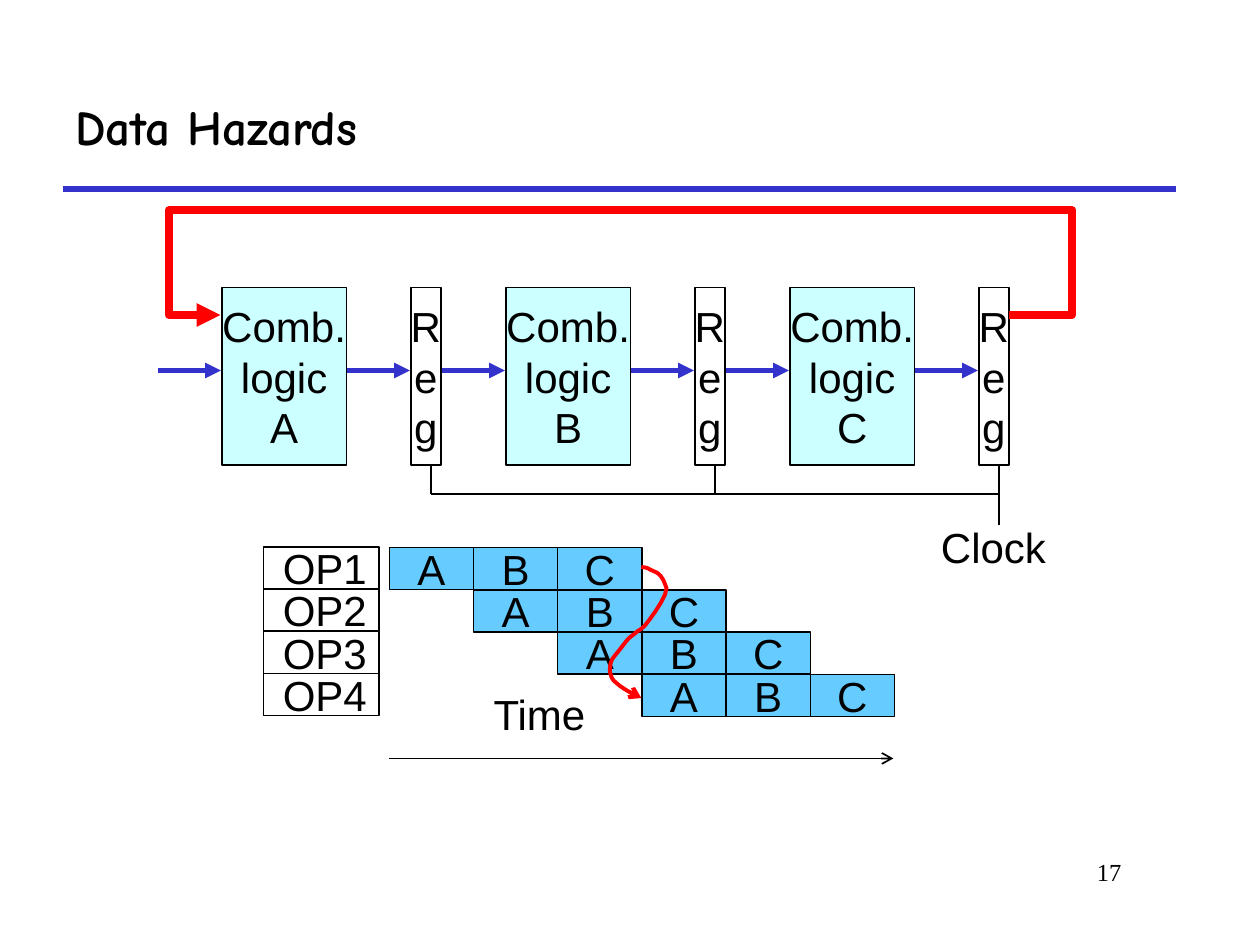
from pptx import Presentation
from pptx import util as u
from pptx.dml.color import RGBColor
from pptx.enum import shapes, text
from pptx.oxml.ns import qn
from lxml import etree

Pt = u.Pt
hue = RGBColor.from_string
mid, top = text.MSO_ANCHOR.MIDDLE, text.MSO_ANCHOR.TOP
left, ctr, right = text.PP_ALIGN.LEFT, text.PP_ALIGN.CENTER, text.PP_ALIGN.RIGHT

deck = Presentation()
deck.slide_width, deck.slide_height = Pt(720), Pt(540)
art = deck.slides.add_slide(deck.slide_layouts[6]).shapes


def box(x, y, w, h, words, fill=None, edge="000000", thick=1, align=ctr,
        anchor=mid, face="Arial", size=24, bold=False):
    area = [Pt(v) for v in (x, y, w, h)]
    if fill:
        item = art.add_shape(shapes.MSO_SHAPE.RECTANGLE, *area)
        item.shadow.inherit = False
        item.fill.solid()
        item.fill.fore_color.rgb = hue(fill)
        item.line.color.rgb = hue(edge)
        item.line.width = Pt(thick)
    else:
        item = art.add_textbox(*area)
    frame = item.text_frame
    frame.text = words
    frame.word_wrap = False
    frame.vertical_anchor = anchor
    for para in frame.paragraphs:
        para.alignment = align
        for run in para.runs:
            run.font.name, run.font.size, run.font.bold = face, Pt(size), bold
            run.font.color.rgb = hue("000000")
    return item


def line(pts, color, thick, head=None):
    pts = [(Pt(x), Pt(y)) for x, y in pts]
    if len(pts) == 2:
        item = art.add_connector(shapes.MSO_CONNECTOR.STRAIGHT, *pts[0], *pts[1])
    else:
        pen = art.build_freeform(*pts[0], scale=1.0)
        pen.add_line_segments(pts[1:], close=False)
        item = pen.convert_to_shape()
        item.fill.background()
    item.line.color.rgb = hue(color)
    item.line.width = Pt(thick)
    if head:
        etree.SubElement(item.line._get_or_add_ln(), qn("a:tailEnd"), type=head)
    etree.SubElement(item._element.spPr, qn("a:effectLst"))
    return item


line([(36, 108), (672, 108)], "3333CC", 3)
box(546, 486, 102, 36, "17", align=right, anchor=top, face="Times New Roman", size=14)
title = box(36, 36, 636, 72, "Data Hazards", align=left, face="Comic Neue", size=28, bold=True)
title.text_frame.word_wrap = True

rail = 282.2
for i, name in enumerate("ABC"):
    x = 126.7 + 162.3 * i
    reg = x + 108
    tap = reg + 11.5
    box(x, 164.2, 71.3, 101.5, f"Comb.\nlogic\n{name}", "CCFFFF")
    box(reg, 164.2, 17.3, 101.5, "R\ne\ng", "FFFFFF")
    for end in (x, reg):
        line([(end - 36.5, 211.7), (end - 0.5, 211.7)], "3333CC", 3, "triangle")
    line([(tap, 265.7), (tap, 300.2 if name == "C" else rail)], "000000", 1)
line([(246.2, rail), (tap, rail)], "000000", 1)
box(530.6, 294.5, 74.2, 36, "Clock", anchor=top)
line([(576.7, 180), (612.7, 180), (612.7, 120.2), (96.5, 120.2), (96.5, 180), (126, 180)],
     "FF0000", 4.5, "triangle")

line([(222.5, 433.4), (510.5, 433.4)], "000000", 1, "arrow")
box(275, 390.2, 67.7, 36, "Time", "FFFFFF", "FFFFFF", 2, left, top)
for row in range(4):
    y = 312.5 + 24.1 * row
    box(150.5, y, 66.2, 24, f"OP{row + 1}", "FFFFFF", thick=0.75, align=right)
    for col, name in enumerate("ABC"):
        box(222.5 + 48.1 * (row + col), y + 0.5, 48.1, 24, name, "66CCFF", thick=0.75)

bends = [
    [(371.5, 324.7), (369.4, 324.7), (373, 326.2)],
    [(378, 327.6), (379.4, 331.9), (380.9, 336.2)],
    [(380.9, 341.3), (372.2, 352.8), (369.4, 356.4)],
    [(368.6, 357.8), (365.8, 360), (364.3, 360.7)],
    [(362.2, 362.9), (360, 363.6), (357.8, 366.5)],
    [(355.7, 369.4), (352.1, 373.7), (349.9, 376.6)],
    [(348.5, 379.4), (348.5, 381.6), (348.5, 383.8)],
    [(349.2, 385.9), (349.2, 388.1), (352.1, 390.2)],
    [(355, 393.1), (362.9, 397.4), (366.5, 398.9)],
]
trail = [(366.5, 324)]
for bend in bends:
    knots = [trail[-1]] + bend
    for step in range(1, 6):
        t = step / 5
        mix = [(1 - t) ** 3, 3 * t * (1 - t) ** 2, 3 * t * t * (1 - t), t ** 3]
        trail.append(tuple(sum(m * k[d] for m, k in zip(mix, knots)) for d in (0, 1)))
line(trail, "FF0000", 2.25, "arrow")

deck.save("out.pptx")
